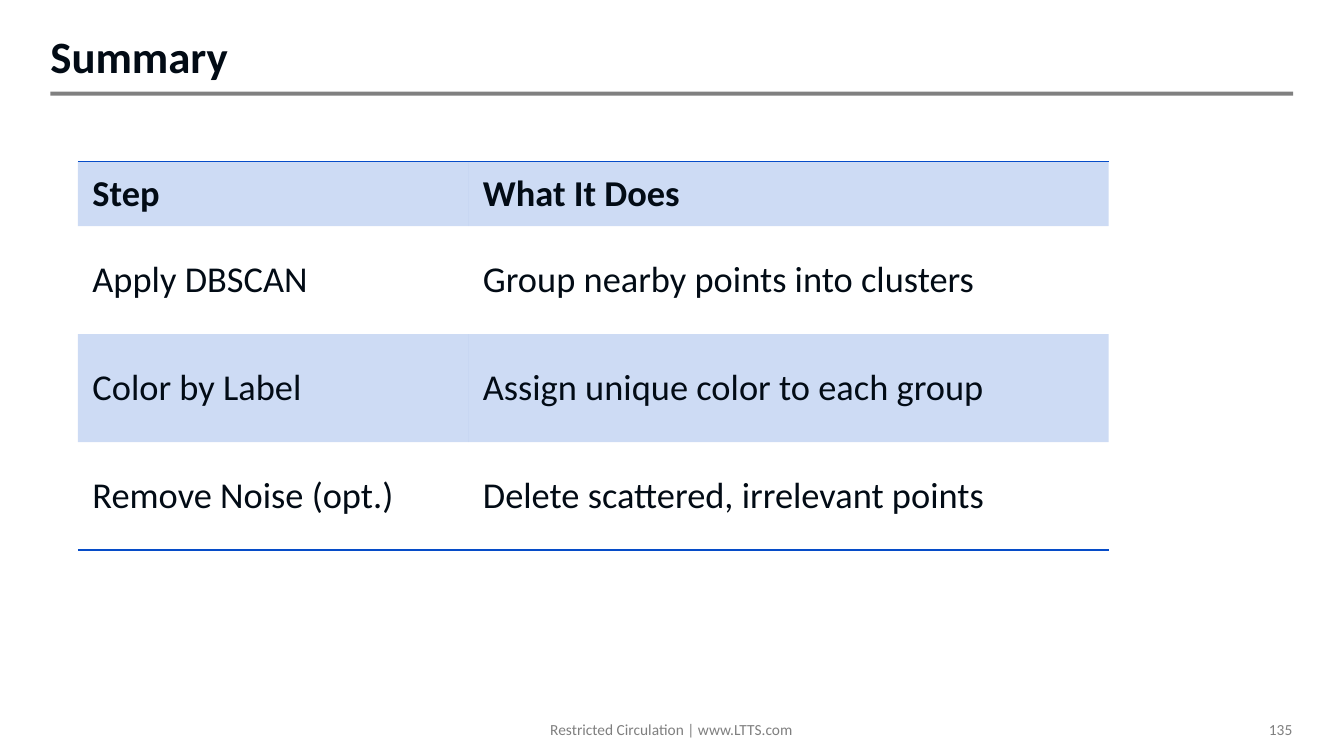
from dataclasses import dataclass

import lxml.etree
import pptx
import pptx.dml.color
import pptx.enum.shapes
import pptx.enum.text
import pptx.oxml.ns
import pptx.util

Cm, Pt = pptx.util.Cm, pptx.util.Pt
Align = pptx.enum.text.PP_ALIGN
Anchor = pptx.enum.text.MSO_ANCHOR
Color = pptx.dml.color.RGBColor.from_string


@dataclass(frozen=True)
class Theme:
    font: str = "Calibri"
    ink: str = "020B15"
    blue: str = "064CC8"
    rule: str = "808080"
    gray: str = "7F7F7F"
    title: int = 32
    body: int = 26
    small: int = 11


theme = Theme()


def style(para, size, color, bold=False):
    looks = {"name": theme.font, "size": Pt(size), "bold": bold}
    for key, value in looks.items():
        setattr(para.font, key, value)
    para.font.color.rgb = Color(color)


def add_tag(parent, tag, **attrs):
    return lxml.etree.SubElement(parent, pptx.oxml.ns.qn(tag), attrs)


deck = pptx.Presentation()
deck.slide_width, deck.slide_height = Cm(33.87), Cm(19.05)
slide = deck.slides.add_slide(deck.slide_layouts[6])

# Title, footer and page number
labels = [
    ("Summary", (1.27, 0.69, 31.32, 1.52), theme.title, theme.ink, True,
     Align.LEFT, {"margin_left": 0, "margin_right": 0, "word_wrap": True,
                  "vertical_anchor": Anchor.BOTTOM}),
    ("Restricted Circulation | www.LTTS.com", (13.56, 18.03, 6.73, 0.74),
     theme.small, theme.gray, False, Align.CENTER, {"word_wrap": False}),
    ("135", (31.12, 18.01, 1.7, 0.74), theme.small, theme.gray, False,
     Align.RIGHT, {"word_wrap": True}),
]
for text, place, size, color, bold, align, format in labels:
    frame = slide.shapes.add_textbox(*map(Cm, place)).text_frame
    for key, value in format.items():
        setattr(frame, key, value)
    para = frame.paragraphs[0]
    para.text = text
    para.alignment = align
    if size == theme.title:
        para.line_spacing = 0.9
    style(para, size, color, bold)

# Rule under the title
bar = slide.shapes.add_shape(pptx.enum.shapes.MSO_SHAPE.RECTANGLE,
                             Cm(1.27), Cm(2.31), Cm(31.32), Cm(0.1))
bar.shadow.inherit = False
bar.fill.solid()
bar.fill.fore_color.rgb = Color(theme.rule)
bar.line.fill.background()

# Summary table
steps = [
    ("Step", "What It Does"),
    ("Apply DBSCAN", "Group nearby points into clusters"),
    ("Color by Label", "Assign unique color to each group"),
    ("Remove Noise (opt.)", "Delete scattered, irrelevant points"),
]
widths = [9.84, 16.14]
heights = [1.63] + [2.72] * 3
table = slide.shapes.add_table(len(steps), len(widths), Cm(1.96), Cm(4.07),
                               Cm(sum(widths)), Cm(sum(heights))).table
table.horz_banding = False
# The plain style has no fills and no grid
plain = "{2D5ABB26-0587-4C30-8999-92F81FD0307C}"
table._tbl.tblPr.find(pptx.oxml.ns.qn("a:tableStyleId")).text = plain
for col, width in zip(table.columns, widths):
    col.width = Cm(width)
for row, height in zip(table.rows, heights):
    row.height = Cm(height)

inset = {"margin_left": Cm(0.37), "margin_right": Cm(0.37),
         "margin_top": Cm(0.19), "margin_bottom": Cm(0.19),
         "vertical_anchor": Anchor.MIDDLE}
edges = {0: "a:lnT", len(steps) - 1: "a:lnB"}
for r, step in enumerate(steps):
    for c, text in enumerate(step):
        cell = table.cell(r, c)
        for key, value in inset.items():
            setattr(cell, key, value)
        para = cell.text_frame.paragraphs[0]
        para.text = text
        style(para, theme.body, theme.ink, r == 0)

        # Outer border, then the see-through band
        props = cell._tc.get_or_add_tcPr()
        if r in edges:
            edge = add_tag(props, edges[r], w=str(Pt(1)))
            add_tag(add_tag(edge, "a:solidFill"), "a:srgbClr", val=theme.blue)
        if r % 2 == 0:
            cell.fill.solid()
            cell.fill.fore_color.rgb = Color(theme.blue)
            tint = props.find(pptx.oxml.ns.qn("a:solidFill"))[0]
            add_tag(tint, "a:alpha", val="20000")
        else:
            cell.fill.background()

deck.save("out.pptx")
